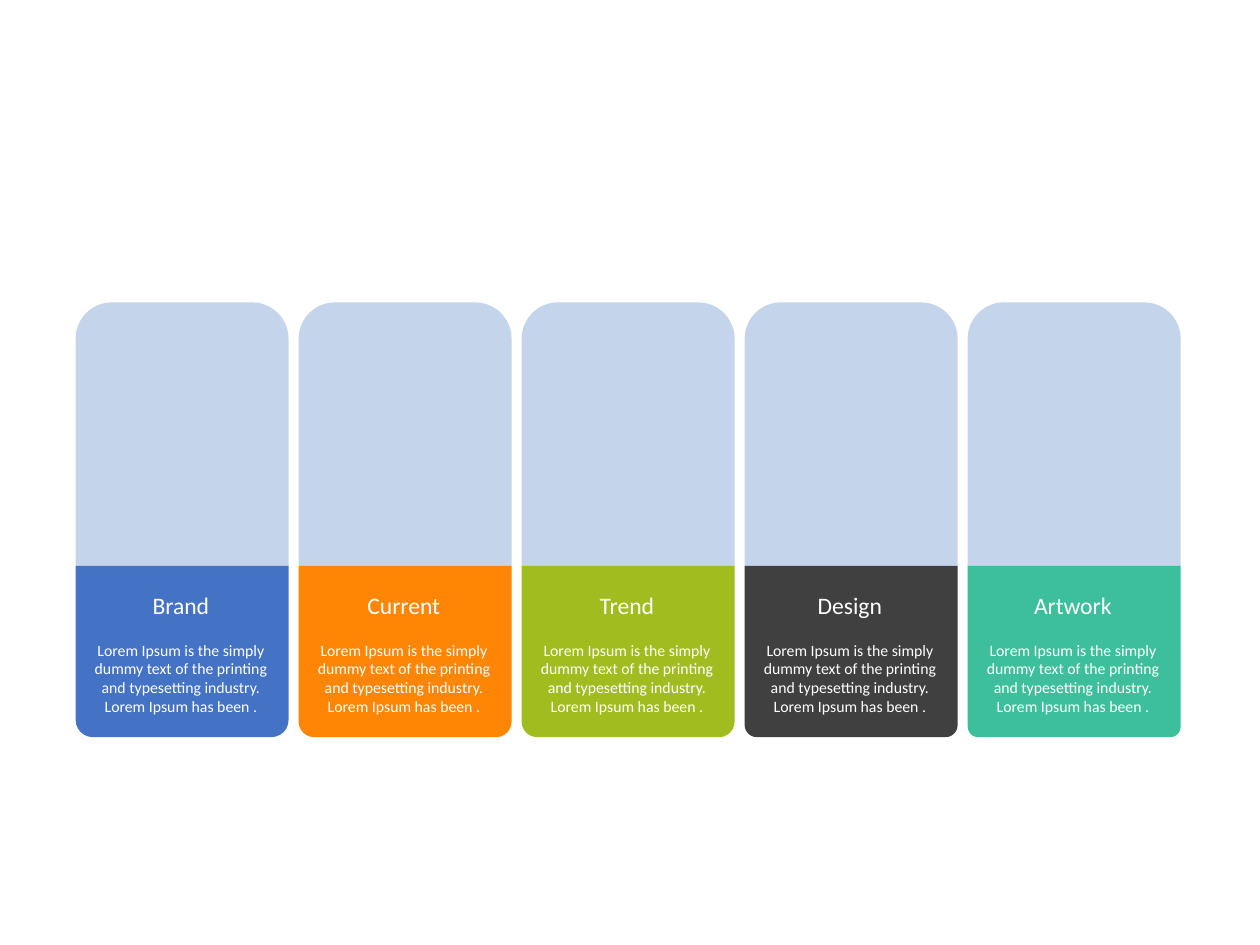
from pptx import Presentation
from pptx.dml.color import RGBColor
from pptx.enum.shapes import MSO_SHAPE
from pptx.enum.text import MSO_ANCHOR, PP_ALIGN
from pptx.util import Inches, Pt

ROUND_TOP = MSO_SHAPE.ROUND_2_SAME_RECTANGLE
CENTER, TOP = PP_ALIGN.CENTER, MSO_ANCHOR.TOP
WHITE = RGBColor(0xFF, 0xFF, 0xFF)
PALE_BLUE = RGBColor(0xC4, 0xD5, 0xEB)
BLUE = RGBColor(0x44, 0x72, 0xC4)
ORANGE = RGBColor(0xFF, 0x85, 0x04)
GREEN = RGBColor(0xA1, 0xBC, 0x1F)
GRAY = RGBColor(0x40, 0x40, 0x40)
TEAL = RGBColor(0x3D, 0xBF, 0x9C)

# Content: title, colour, corner rounding of the lower panel
CARDS = [
    ("Brand", BLUE, 0.1),
    ("Current", ORANGE, 0.09),
    ("Trend", GREEN, 0.09),
    ("Design", GRAY, 0.07),
    ("Artwork", TEAL, 0.06),
]
BODY = ("Lorem Ipsum is the simply dummy text of the printing and "
        "typesetting industry. Lorem Ipsum has been .")

# Column grid, in inches
LEFT, PITCH, CARD_W = 0.6, 1.77, 1.69
UPPER_Y, UPPER_H = 2.4, 2.09
LOWER_Y, LOWER_H = UPPER_Y + UPPER_H, 1.36
TEXT_W, TEXT_H = 1.67, 1.25

prs = Presentation()
prs.slide_width, prs.slide_height = Inches(10), Inches(7.5)
s = prs.slides.add_slide(prs.slide_layouts[6])


def add_panel(x, y, h, color, rounding, rotation=0):
    sp = s.shapes.add_shape(ROUND_TOP, Inches(x), Inches(y), Inches(CARD_W), Inches(h))
    sp.adjustments[0] = rounding
    sp.rotation = rotation
    sp.shadow.inherit = False
    sp.fill.solid()
    sp.fill.fore_color.rgb = color
    sp.line.fill.background()


def add_run(p, text, size):
    p.alignment = CENTER
    r = p.add_run()
    r.text = text
    r.font.name = "Calibri"
    r.font.size = Pt(size)
    r.font.color.rgb = WHITE


def add_caption(x, title):
    tf = s.shapes.add_textbox(Inches(x), Inches(LOWER_Y), Inches(TEXT_W), Inches(TEXT_H)).text_frame
    tf.word_wrap = True
    tf.vertical_anchor = TOP
    tf.margin_top = Inches(0.2)
    add_run(tf.paragraphs[0], title, 13.5)
    p = tf.add_paragraph()
    p.space_before = Pt(12)
    add_run(p, BODY, 9)


# Cards
for i, (title, color, rounding) in enumerate(CARDS):
    x = LEFT + i * PITCH
    add_panel(x, UPPER_Y, UPPER_H, PALE_BLUE, 0.17)
    add_panel(x, LOWER_Y, LOWER_H, color, rounding, rotation=180)
    add_caption(x, title)

prs.save("out.pptx")
